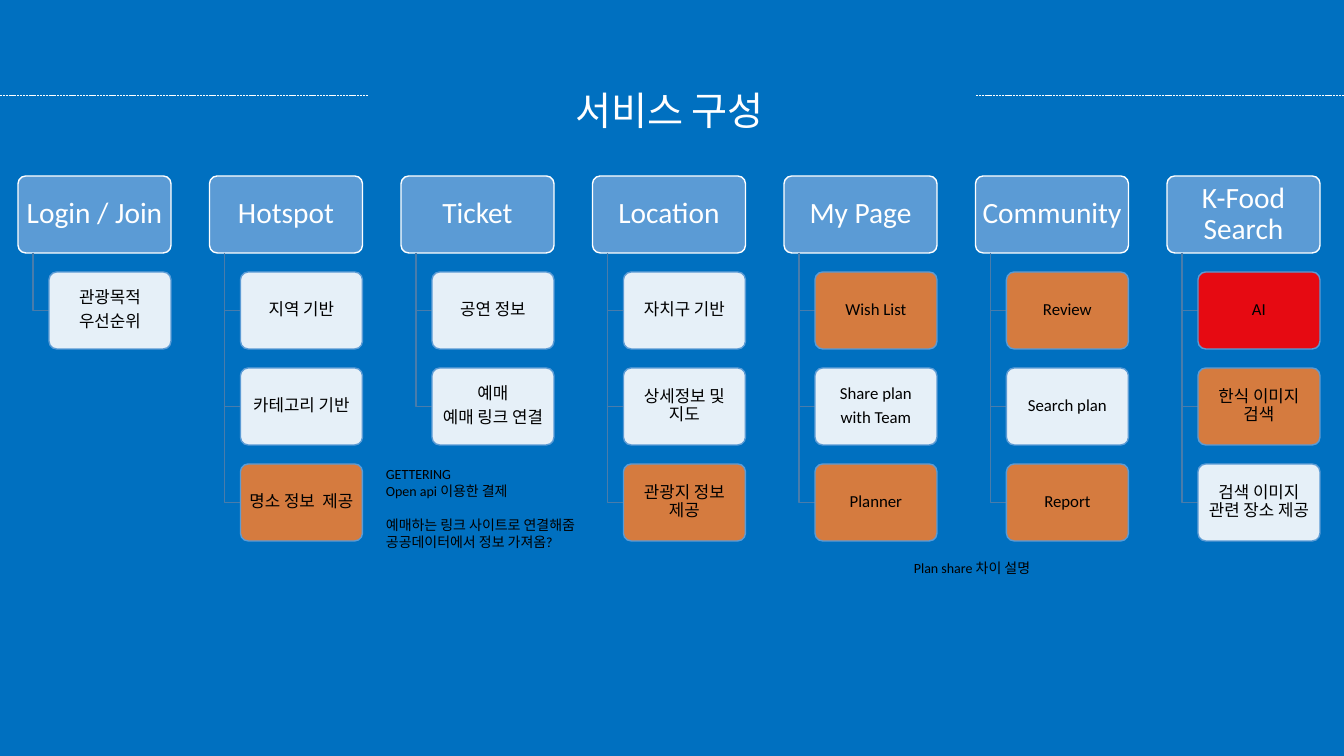
from dataclasses import dataclass

from lxml import etree
from pptx import Presentation
from pptx.dml.color import RGBColor
from pptx.enum.dml import MSO_LINE
from pptx.enum.shapes import MSO_CONNECTOR, MSO_SHAPE
from pptx.enum.text import MSO_ANCHOR, MSO_AUTO_SIZE, PP_ALIGN
from pptx.oxml.ns import qn
from pptx.util import Pt

ROUNDED = MSO_SHAPE.ROUNDED_RECTANGLE
STRAIGHT = MSO_CONNECTOR.STRAIGHT
DASH = MSO_LINE.SQUARE_DOT
MIDDLE = MSO_ANCHOR.MIDDLE
GROW = MSO_AUTO_SIZE.SHAPE_TO_FIT_TEXT
CENTER = PP_ALIGN.CENTER
LEFT = PP_ALIGN.LEFT

SLIDE_W, SLIDE_H = 1344, 756
EMU_PER_PX = 12192000 / SLIDE_W


@dataclass(frozen=True)
class Theme:
    background: str = "0070C0"
    header: str = "5B9BD5"
    branch: str = "497CAB"
    light: str = "FFFFFF"
    dark: str = "000000"
    plain: str = "FFFFFF"
    accent: str = "ED7D31"
    alert: str = "FF0000"
    body_font: str = "Calibri"
    title_font: str = "Noto Sans CJK KR"
    title_size: int = 28
    header_size: int = 21
    item_size: int = 12
    note_size: int = 10


THEME = Theme()
PLAIN, ACCENT, ALERT = THEME.plain, THEME.accent, THEME.alert

SERVICES = [
    ("Login / Join", [("관광목적\n우선순위", PLAIN)]),
    ("Hotspot", [("지역 기반", PLAIN), ("카테고리 기반", PLAIN), ("명소 정보  제공", ACCENT)]),
    ("Ticket", [("공연 정보", PLAIN), ("예매\n예매 링크 연결", PLAIN)]),
    ("Location", [("자치구 기반", PLAIN), ("상세정보 및 지도", PLAIN), ("관광지 정보 제공", ACCENT)]),
    ("My Page", [("Wish List", ACCENT), ("Share plan\nwith Team", PLAIN), ("Planner", ACCENT)]),
    ("Community", [("Review", ACCENT), ("Search plan", PLAIN), ("Report", ACCENT)]),
    ("K-Food Search", [("AI", ALERT), ("한식 이미지 검색", ACCENT), ("검색 이미지 관련 장소 제공", PLAIN)]),
]

COLUMN_W, CARD_H, CARD_PITCH = 153, 77, 96
BRANCH_X, ITEM_X = 15, 31


def px(length):
    return round(length * EMU_PER_PX)


def rgb(color):
    return RGBColor.from_string(color)


def write(frame, text, size, color, font=THEME.body_font, align=LEFT, spacing=None, after=None):
    frame.text = text
    for paragraph in frame.paragraphs:
        paragraph.alignment = align
        paragraph.line_spacing = spacing
        paragraph.space_after = after
        paragraph.font.size = Pt(size)
        paragraph.font.name = font
        paragraph.font.color.rgb = rgb(color)


def add_card(slide, box, text, fill, outline, size, color, inset, alpha=None):
    card = slide.shapes.add_shape(ROUNDED, *map(px, box))
    card.adjustments[0] = 0.1
    card.shadow.inherit = False
    card.fill.solid()
    card.fill.fore_color.rgb = rgb(fill)
    if alpha:
        shade = card.fill._xPr.find(qn("a:solidFill"))[0]
        etree.SubElement(shade, qn("a:alpha"), val=str(alpha * 1000))
    card.line.color.rgb = rgb(outline)
    card.line.width = Pt(1)
    frame = card.text_frame
    frame.word_wrap = True
    frame.vertical_anchor = MIDDLE
    frame.margin_left = frame.margin_right = px(inset)
    frame.margin_top = frame.margin_bottom = px(inset - 1)
    write(frame, text, size, color, align=CENTER, spacing=0.9, after=Pt(round(size * 0.35, 1)))


def add_branch(slide, left, top, right, bottom):
    builder = slide.shapes.build_freeform(px(left), px(top))
    builder.add_line_segments([(px(left), px(bottom)), (px(right), px(bottom))], close=False)
    branch = builder.convert_to_shape()
    branch.shadow.inherit = False
    branch.fill.background()
    branch.line.color.rgb = rgb(THEME.branch)
    branch.line.width = Pt(1)


def add_service(slide, left, top, name, items):
    add_card(slide, (left, top, COLUMN_W, CARD_H), name, THEME.header, THEME.light,
             THEME.header_size, THEME.light, 4)
    for row, (label, fill) in enumerate(items, start=1):
        item_top = top + row * CARD_PITCH
        add_branch(slide, left + BRANCH_X, top + CARD_H, left + ITEM_X, item_top + CARD_H / 2)
        add_card(slide, (left + ITEM_X, item_top, COLUMN_W - ITEM_X, CARD_H), label, fill,
                 THEME.header, THEME.item_size, THEME.dark, 3, alpha=90)


def add_service_map(slide, left, top, width):
    pitch = (width - COLUMN_W) / (len(SERVICES) - 1)
    for column, (name, items) in enumerate(SERVICES):
        add_service(slide, left + column * pitch, top, name, items)


def add_rule(slide, left, right, y):
    rule = slide.shapes.add_connector(STRAIGHT, px(left), px(y), px(right), px(y))
    rule.line.color.rgb = rgb(THEME.light)
    rule.line.width = Pt(0.5)
    rule.line.dash_style = DASH
    etree.SubElement(rule._element.spPr, qn("a:effectLst"))


def add_title(slide, left, top, width, height):
    frame = slide.shapes.add_textbox(*map(px, (left, top, width, height))).text_frame
    frame.word_wrap = True
    frame.auto_size = GROW
    write(frame, "서비스 구성", THEME.title_size, THEME.light, THEME.title_font, CENTER, 1.5)
    add_rule(slide, 0, 368, top + 37)
    add_rule(slide, 976, SLIDE_W, top + 37)


def add_note(slide, box, text):
    frame = slide.shapes.add_textbox(*map(px, box)).text_frame
    frame.word_wrap = False
    frame.auto_size = GROW
    write(frame, text, THEME.note_size, THEME.dark)
    return frame


def add_notes(slide):
    ticket_note = add_note(
        slide, (376, 461, 228, 95),
        "GETTERING\nOpen api 이용한 결제\n예매하는 링크 사이트로 연결해줌\n공공데이터에서 정보 가져옴?")
    ticket_note.paragraphs[2].space_before = Pt(12)
    add_note(slide, (904, 555, 143, 27), "Plan share 차이 설명")


def main():
    deck = Presentation()
    deck.slide_width, deck.slide_height = px(SLIDE_W), px(SLIDE_H)
    slide = deck.slides.add_slide(deck.slide_layouts[6])
    slide.background.fill.solid()
    slide.background.fill.fore_color.rgb = rgb(THEME.background)
    add_service_map(slide, 18, 176, 1302)
    add_title(slide, 435, 58, 469, 73)
    add_notes(slide)
    deck.save("out.pptx")


if __name__ == "__main__":
    main()
